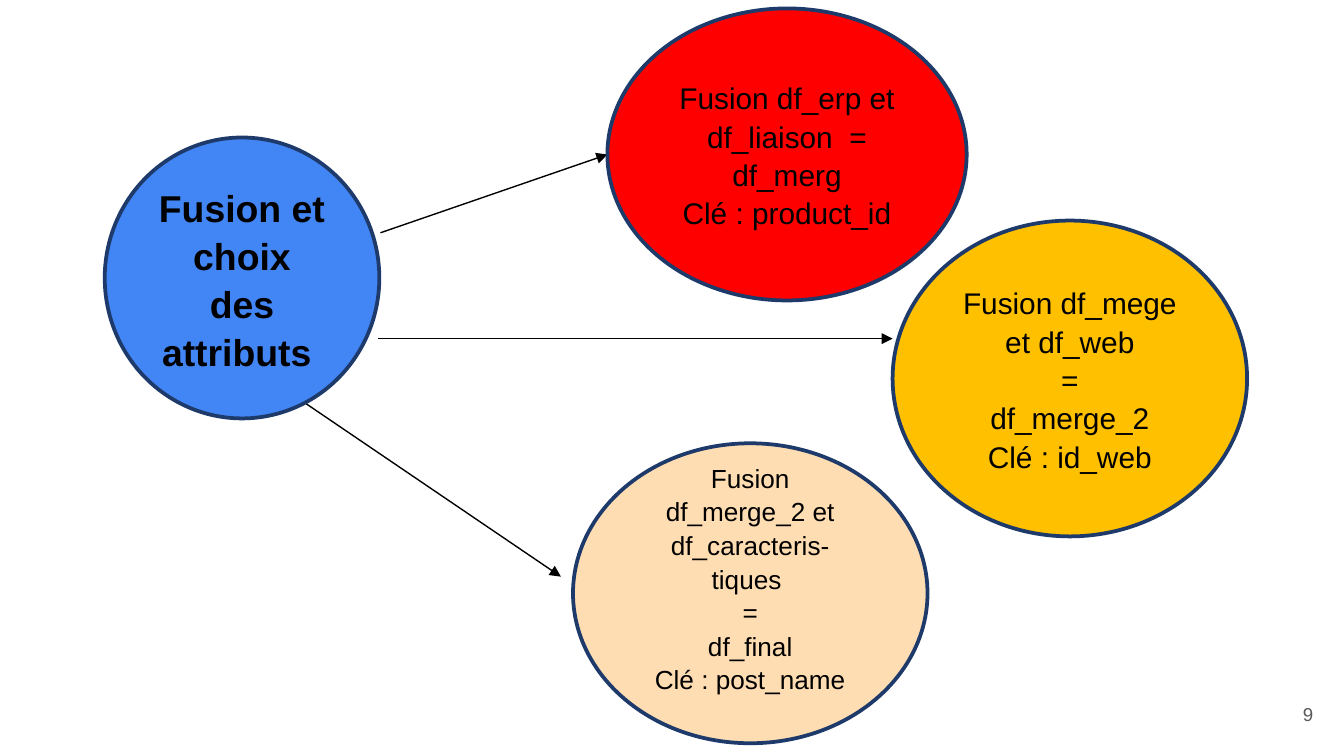
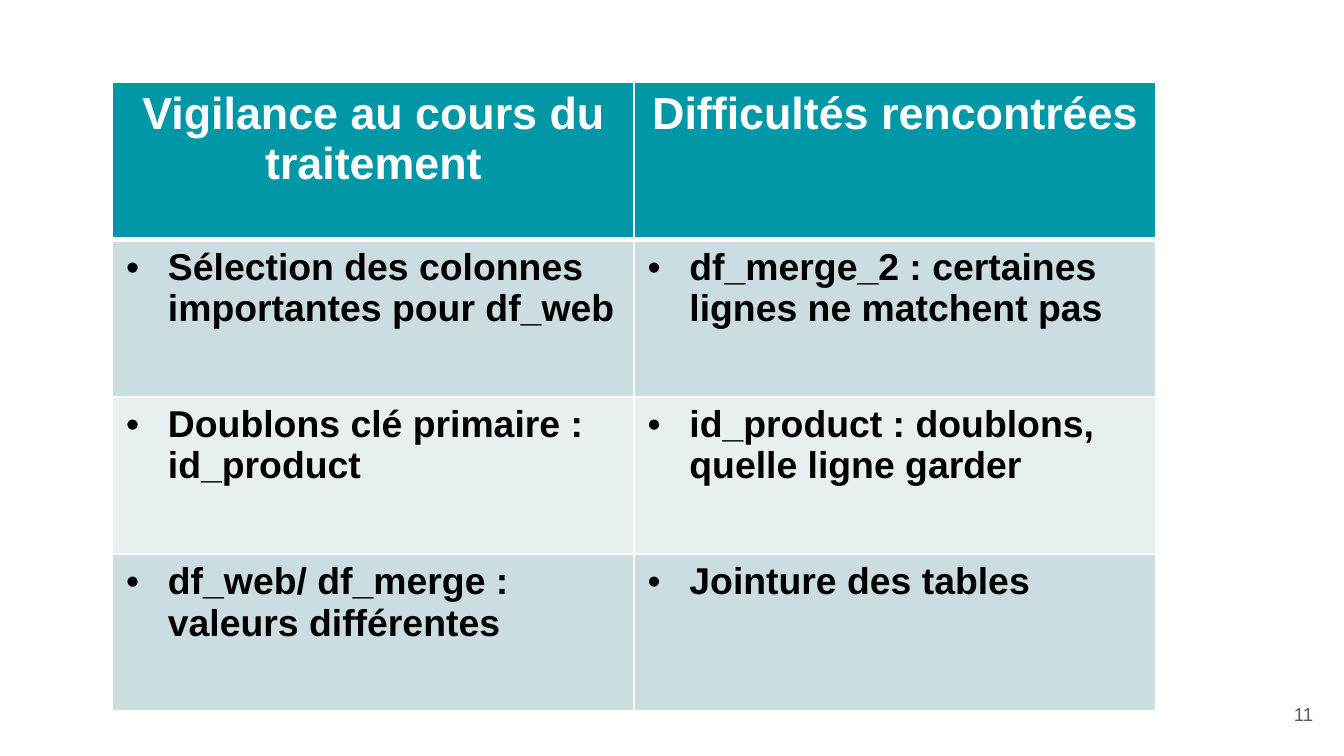
from lxml import etree
from pptx import Presentation
from pptx.dml.color import RGBColor
from pptx.enum.shapes import MSO_CONNECTOR, MSO_SHAPE
from pptx.enum.text import MSO_ANCHOR, PP_ALIGN
from pptx.oxml import parse_xml
from pptx.oxml.ns import nsdecls, qn
from pptx.util import Cm, Pt

CIRCLE = MSO_SHAPE.FLOWCHART_CONNECTOR
LINE = MSO_CONNECTOR.STRAIGHT
MIDDLE = MSO_ANCHOR.MIDDLE
LEFT, CENTER, RIGHT = PP_ALIGN.LEFT, PP_ALIGN.CENTER, PP_ALIGN.RIGHT

COLORS = {
    "black": "000000", "white": "FFFFFF", "grey": "595959", "navy": "1D3A6B",
    "blue": "4285F4", "red": "FF0000", "amber": "FFC000", "peach": "FFDDB3",
    "teal": "0097A7", "mist": "CCDDE1", "pale": "E7EFF1",
}


def color(name):
    return RGBColor.from_string(COLORS[name])


def write(frame, lines, size, ink, align, bold=False, space=None):
    """Fill a text frame with one paragraph per line."""
    frame.word_wrap = True
    for i, line in enumerate(lines):
        para = frame.add_paragraph() if i else frame.paragraphs[0]
        para.text = line
        para.alignment = align
        para.line_spacing = space
        para.font.name = "Arial"
        para.font.size = Pt(size)
        para.font.bold = bold
        para.font.color.rgb = color(ink)


deck = Presentation()
deck.slide_width, deck.slide_height = Cm(25.4), Cm(14.29)
blank = deck.slide_layouts[6]
merge, issues = (deck.slides.add_slide(blank) for _ in range(2))

# Page numbers
for slide, number in ((merge, "9"), (issues, "11")):
    box = slide.shapes.add_textbox(Cm(23.55), Cm(12.95), Cm(1.52), Cm(1.09))
    frame = box.text_frame
    frame.margin_left = frame.margin_right = Cm(0.25)
    frame.margin_top = frame.margin_bottom = Cm(0.25)
    frame.vertical_anchor = MIDDLE
    write(frame, [number], 10, "grey", RIGHT)

# Arrows from the topic to each merge
arrows = [(7.19, 4.4, 11.48, 2.92), (7.14, 6.4, 16.87, 6.4),
          (5.77, 7.62, 10.6, 10.9)]
for ends in arrows:
    arrow = merge.shapes.add_connector(LINE, *map(Cm, ends))
    arrow.line.color.rgb = color("black")
    arrow.line.width = Pt(0.75)
    etree.SubElement(arrow.line._get_or_add_ln(), qn("a:tailEnd"), type="triangle")
    etree.SubElement(arrow._element.spPr, qn("a:effectLst"))

# Circles: place, fill, text size, bold, bottom margin, lines
circles = [
    ((1.98, 2.6, 5.19, 5.31), "blue", 20, True, 0.13,
     ["Fusion et choix des attributs "]),
    ((11.48, 0.16, 6.79, 5.52), "red", 16, False, 0.13,
     ["Fusion df_erp et df_liaison  =", "df_merg", "Clé : product_id"]),
    ((10.83, 8.38, 6.7, 5.67), "peach", 14, False, 0.72,
     ["Fusion df_merge_2 et df_caracteris-tiques ", "=", "df_final",
      "Clé : post_name"]),
    ((16.87, 4.17, 6.7, 5.97), "amber", 16, False, 0.13,
     ["Fusion df_mege et df_web", "=", "df_merge_2", "Clé : id_web"]),
]
for place, fill, size, bold, foot, lines in circles:
    circle = merge.shapes.add_shape(CIRCLE, *map(Cm, place))
    circle.shadow.inherit = False
    circle.fill.solid()
    circle.fill.fore_color.rgb = color(fill)
    circle.line.color.rgb = color("navy")
    circle.line.width = Pt(2)
    frame = circle.text_frame
    frame.vertical_anchor = MIDDLE
    frame.margin_bottom = Cm(foot)
    write(frame, lines, size, "black", CENTER, bold, 1.07)

# Table of checks and problems
rows = [
    ("Vigilance au cours du traitement", "Difficultés rencontrées"),
    ("Sélection des colonnes importantes pour df_web",
     "df_merge_2 : certaines lignes ne matchent pas"),
    ("Doublons clé primaire : id_product",
     "id_product : doublons, quelle ligne garder"),
    ("df_web/ df_merge : valeurs différentes", "Jointure des tables"),
]
grid = issues.shapes.add_table(4, 2, Cm(2.13), Cm(1.56), Cm(19.71), Cm(11.88)).table
for r, texts in enumerate(rows):
    head = r == 0
    fill = "teal" if head else ("pale", "mist")[r % 2]
    for c, text in enumerate(texts):
        cell = grid.cell(r, c)
        cell.fill.solid()
        cell.fill.fore_color.rgb = color(fill)
        if head:
            write(cell.text_frame, [text], 24, "white", CENTER, True)
        else:
            write(cell.text_frame, [text], 20, "black", LEFT, True)
            # Bullet with a hanging indent
            props = cell.text_frame.paragraphs[0]._p.get_or_add_pPr()
            props.set("marL", str(Cm(0.79)))
            props.set("indent", str(-Cm(0.79)))
            marks = (f'<a:buClr {nsdecls("a")}><a:srgbClr val="{COLORS["black"]}"/></a:buClr>',
                     f'<a:buFont {nsdecls("a")} typeface="Arial"/>',
                     f'<a:buChar {nsdecls("a")} char="•"/>')
            for i, mark in enumerate(marks):
                props.insert(i, parse_xml(mark))
        # White borders, thicker under the header
        for i, side in enumerate("LRTB"):
            thick = (head and side == "B") or (r == 1 and side == "T")
            width = Pt(3 if thick else 1)
            edge = parse_xml(
                f'<a:ln{side} {nsdecls("a")} w="{width}"><a:solidFill>'
                f'<a:srgbClr val="{COLORS["white"]}"/></a:solidFill></a:ln{side}>')
            cell._tc.get_or_add_tcPr().insert(i, edge)

deck.save("out.pptx")
